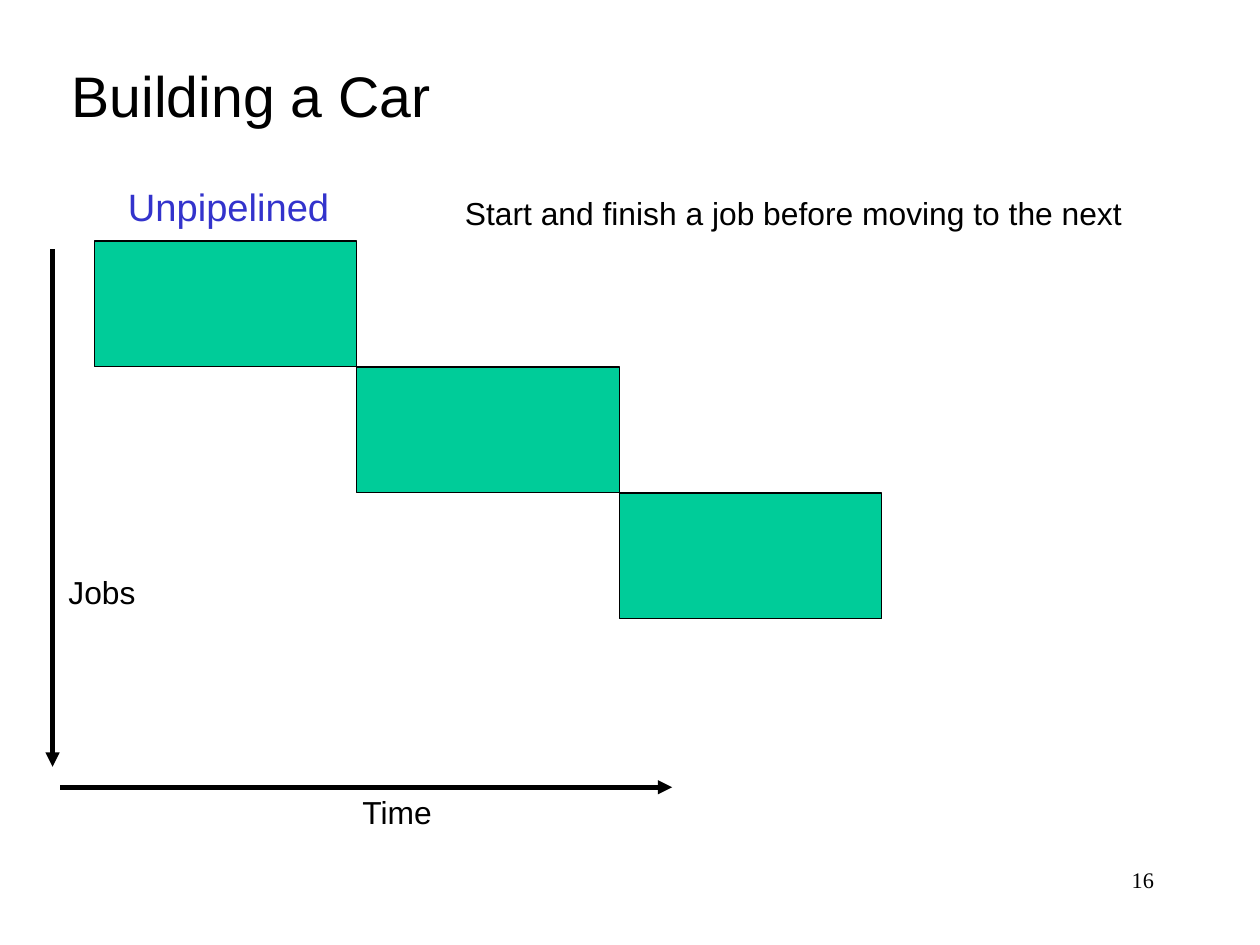
from dataclasses import dataclass

from lxml.etree import SubElement
from pptx import Presentation
from pptx.dml.color import RGBColor
from pptx.enum.shapes import MSO_CONNECTOR, MSO_SHAPE
from pptx.enum.text import MSO_ANCHOR, MSO_AUTO_SIZE, PP_ALIGN
from pptx.oxml.ns import qn
from pptx.util import Cm, Length, Pt

WIDTH, HEIGHT = Cm(28), Cm(21)
BLACK, BLUE, GREEN = "000000", "3333CC", "00CC99"
JOB_COUNT = 3
JOB_LEFT, JOB_TOP = 7.5, 25.5
JOB_WIDTH, JOB_HEIGHT = 20.83, 13.33


@dataclass(frozen=True)
class Label:
    """A line of text; the box is in percent of the slide's size."""
    text: str
    left: float
    top: float
    width: float
    height: float
    size: int = 20
    color: str = BLACK
    font: str = "Arial"
    align: PP_ALIGN = PP_ALIGN.LEFT


@dataclass(frozen=True)
class Axis:
    """An arrow between two points in percent of the slide's size."""
    start: tuple[float, float]
    end: tuple[float, float]


TITLE = Label("Building a Car", 4.78, 5.8, 31.5, 8.46, size=36)
LABELS = [
    Label("Unpipelined", 9.26, 18.86, 17.79, 6.05, size=24, color=BLUE),
    Label("Start and finish a job before moving to the next", 36.0, 19.95, 53.99, 5.32),
    Label("Jobs", 4.54, 59.98, 7.17, 5.32),
    Label("Time", 27.86, 83.31, 7.44, 5.32),
    Label("16", 71.65, 91.05, 20.83, 6.65, size=14, font="Times New Roman", align=PP_ALIGN.RIGHT),
]
AXES = [
    Axis((4.17, 26.6), (4.17, 81.14)),
    Axis((4.99, 83.31), (53.34, 83.31)),
]


def across(percent: float) -> Length:
    return Length(WIDTH * percent / 100)


def down(percent: float) -> Length:
    return Length(HEIGHT * percent / 100)


def rgb(color: str) -> RGBColor:
    return RGBColor.from_string(color)


def write_label(box, label: Label) -> None:
    """Place a text box or placeholder and fill it with the label."""
    box.left, box.top = across(label.left), down(label.top)
    box.width, box.height = across(label.width), down(label.height)
    frame = box.text_frame
    frame.text = label.text
    frame.word_wrap = label.align == PP_ALIGN.RIGHT
    frame.auto_size = MSO_AUTO_SIZE.NONE
    frame.vertical_anchor = MSO_ANCHOR.TOP
    line = frame.paragraphs[0]
    line.alignment = label.align
    line.font.name, line.font.size = label.font, Pt(label.size)
    line.font.color.rgb = rgb(label.color)


def draw_job(slide, step: int) -> None:
    job = slide.shapes.add_shape(
        MSO_SHAPE.RECTANGLE,
        across(JOB_LEFT + step * JOB_WIDTH), down(JOB_TOP + step * JOB_HEIGHT),
        across(JOB_WIDTH), down(JOB_HEIGHT))
    job.shadow.inherit = False
    job.fill.solid()
    job.fill.fore_color.rgb = rgb(GREEN)
    job.line.color.rgb = rgb(BLACK)
    job.line.width = Pt(0.75)


def draw_axis(slide, axis: Axis) -> None:
    (x1, y1), (x2, y2) = axis.start, axis.end
    arrow = slide.shapes.add_connector(
        MSO_CONNECTOR.STRAIGHT, across(x1), down(y1), across(x2), down(y2))
    arrow.line.color.rgb = rgb(BLACK)
    arrow.line.width = Pt(3)
    stroke = arrow._element.spPr.find(qn("a:ln"))
    stroke.set("cap", "sq")
    SubElement(stroke, qn("a:tailEnd"), type="triangle")
    SubElement(arrow._element.spPr, qn("a:effectLst"))


def main() -> None:
    deck = Presentation()
    deck.slide_width, deck.slide_height = WIDTH, HEIGHT
    slide = deck.slides.add_slide(deck.slide_layouts[5])
    write_label(slide.shapes.title, TITLE)
    for step in range(JOB_COUNT):
        draw_job(slide, step)
    for axis in AXES:
        draw_axis(slide, axis)
    for label in LABELS:
        write_label(slide.shapes.add_textbox(0, 0, 0, 0), label)
    deck.save("out.pptx")


if __name__ == "__main__":
    main()
